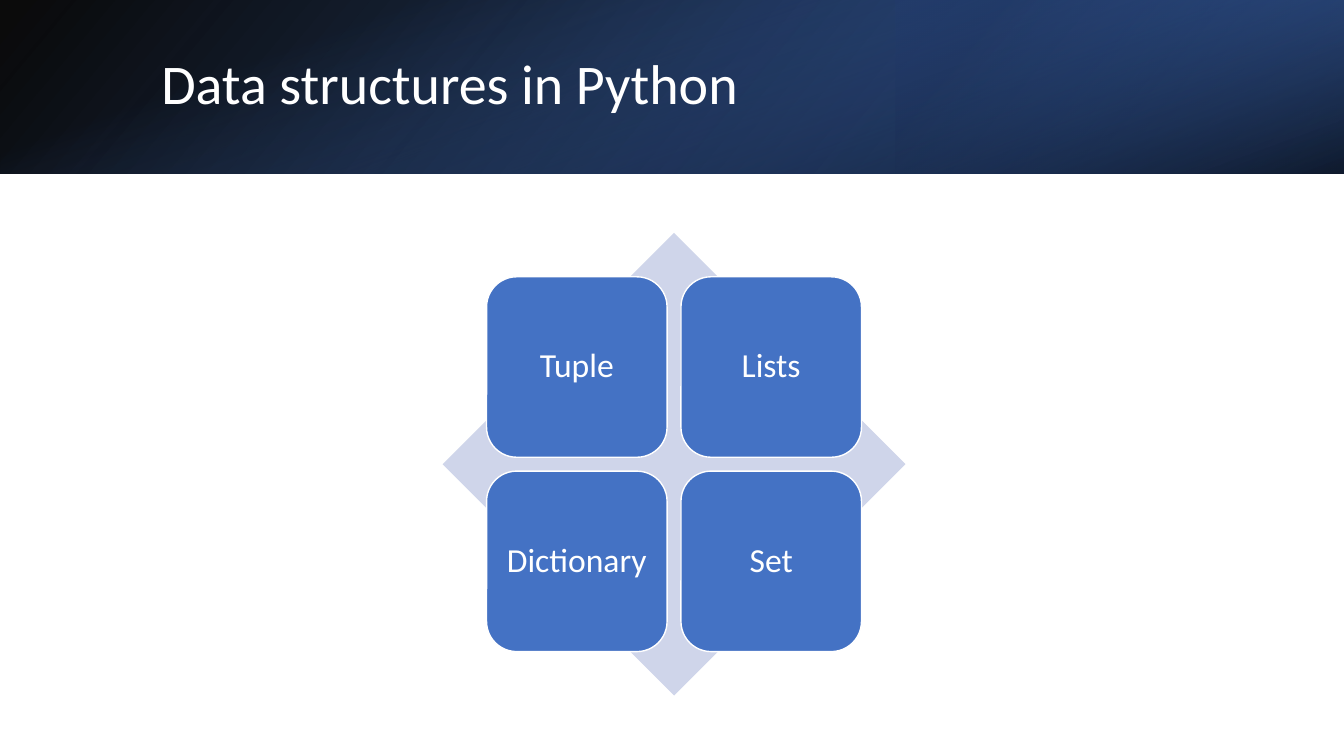
"""Build a title slide section with four data structures set over a diamond."""
from dataclasses import dataclass

from lxml.etree import SubElement
from pptx import Presentation
from pptx.dml.color import RGBColor
from pptx.enum.shapes import MSO_SHAPE
from pptx.enum.text import MSO_ANCHOR, MSO_AUTO_SIZE, PP_ALIGN
from pptx.oxml.ns import qn
from pptx.util import Inches, Pt

HEADING = "Data structures in Python"
STRUCTURES = [["Tuple", "Lists"], ["Dictionary", "Set"]]

SLIDE_W, SLIDE_H = 13.33, 7.5
BAND_H = 0.23 * SLIDE_H
DIAMOND_SIDE = 4.59
DIAMOND_LEFT, DIAMOND_TOP = 4.39, 2.31
TILE_SHARE, TILE_PITCH = 0.39, 0.42
TILE_MARGIN = (1 - TILE_SHARE - TILE_PITCH) / 2


@dataclass(frozen=True)
class Theme:
    font: str = "Calibri"
    heading_size: int = 40
    tile_size: int = 24
    light: str = "FFFFFF"
    tile: str = "4472C4"
    diamond: str = "CFD5EA"
    black: str = "000000"
    blue: str = "2F5597"
    navy: str = "203864"


THEME = Theme()

# Each band: box, rotation, mirrored, angle, stops of (share, colour, opacity)
BANDS = [
    ((0, 0, SLIDE_W, BAND_H), 0, True, 140,
     [(0, THEME.black, 0.96), (1, THEME.blue, 1)]),
    ((SLIDE_W * 2 / 3, 0, SLIDE_W / 3, BAND_H), 180, True, 320,
     [(0.19, THEME.navy, 0.68), (1, THEME.tile, 0.79)]),
    (((SLIDE_W - BAND_H) / 2, (BAND_H - SLIDE_W) / 2, BAND_H, SLIDE_W), 90, False, 340,
     [(0.23, THEME.tile, 0), (0.99, THEME.black, 0.74)]),
]


def add_plain(slide, kind, box):
    shape = slide.shapes.add_shape(kind, *map(Inches, box))
    shape.shadow.inherit = False
    shape.line.fill.background()
    return shape


def fill_solid(fill, colour):
    fill.solid()
    fill.fore_color.rgb = RGBColor.from_string(colour)


def add_band(slide, box, rotation, mirrored, angle, stops):
    band = add_plain(slide, MSO_SHAPE.RECTANGLE, box)
    band.rotation = rotation
    if mirrored:
        band.element.spPr.find(qn("a:xfrm")).set("flipH", "1")
    band.fill.gradient()
    band.fill.gradient_angle = 360 - angle
    for stop, (share, colour, _) in zip(band.fill.gradient_stops, stops):
        stop.position = share
        stop.color.rgb = RGBColor.from_string(colour)
    tints = band.element.spPr.iter(qn("a:srgbClr"))
    for tint, (_, _, opacity) in zip(list(tints), stops):
        SubElement(tint, qn("a:alpha")).set("val", str(round(opacity * 100000)))


def write(frame, words, size, alignment):
    frame.word_wrap = True
    frame.auto_size = MSO_AUTO_SIZE.NONE
    frame.vertical_anchor = MSO_ANCHOR.MIDDLE
    paragraph = frame.paragraphs[0]
    paragraph.alignment = alignment
    paragraph.line_spacing = 0.9
    run = paragraph.add_run()
    run.text = words
    run.font.name = THEME.font
    run.font.size = Pt(size)
    run.font.color.rgb = RGBColor.from_string(THEME.light)


def add_heading(slide):
    title = slide.shapes.title
    title.left, title.top = Inches(1.5), Inches(0.38)
    title.width, title.height = Inches(10.98), Inches(0.96)
    write(title.text_frame, HEADING, THEME.heading_size, PP_ALIGN.LEFT)
    title.element.getparent().append(title.element)


def add_tile(slide, row, column, words):
    side = TILE_SHARE * DIAMOND_SIDE
    left = DIAMOND_LEFT + (TILE_MARGIN + column * TILE_PITCH) * DIAMOND_SIDE
    top = DIAMOND_TOP + (TILE_MARGIN + row * TILE_PITCH) * DIAMOND_SIDE
    tile = add_plain(slide, MSO_SHAPE.ROUNDED_RECTANGLE, (left, top, side, side))
    fill_solid(tile.fill, THEME.tile)
    fill_solid(tile.line.fill, THEME.light)
    tile.line.width = Pt(1)
    write(tile.text_frame, words, THEME.tile_size, PP_ALIGN.CENTER)


def main():
    deck = Presentation()
    deck.slide_width, deck.slide_height = Inches(SLIDE_W), Inches(SLIDE_H)
    slide = deck.slides.add_slide(deck.slide_layouts.get_by_name("Title Only"))
    for band in BANDS:
        add_band(slide, *band)
    add_heading(slide)
    diamond = add_plain(slide, MSO_SHAPE.DIAMOND,
                        (DIAMOND_LEFT, DIAMOND_TOP, DIAMOND_SIDE, DIAMOND_SIDE))
    fill_solid(diamond.fill, THEME.diamond)
    for row, names in enumerate(STRUCTURES):
        for column, name in enumerate(names):
            add_tile(slide, row, column, name)
    deck.save("out.pptx")


if __name__ == "__main__":
    main()
